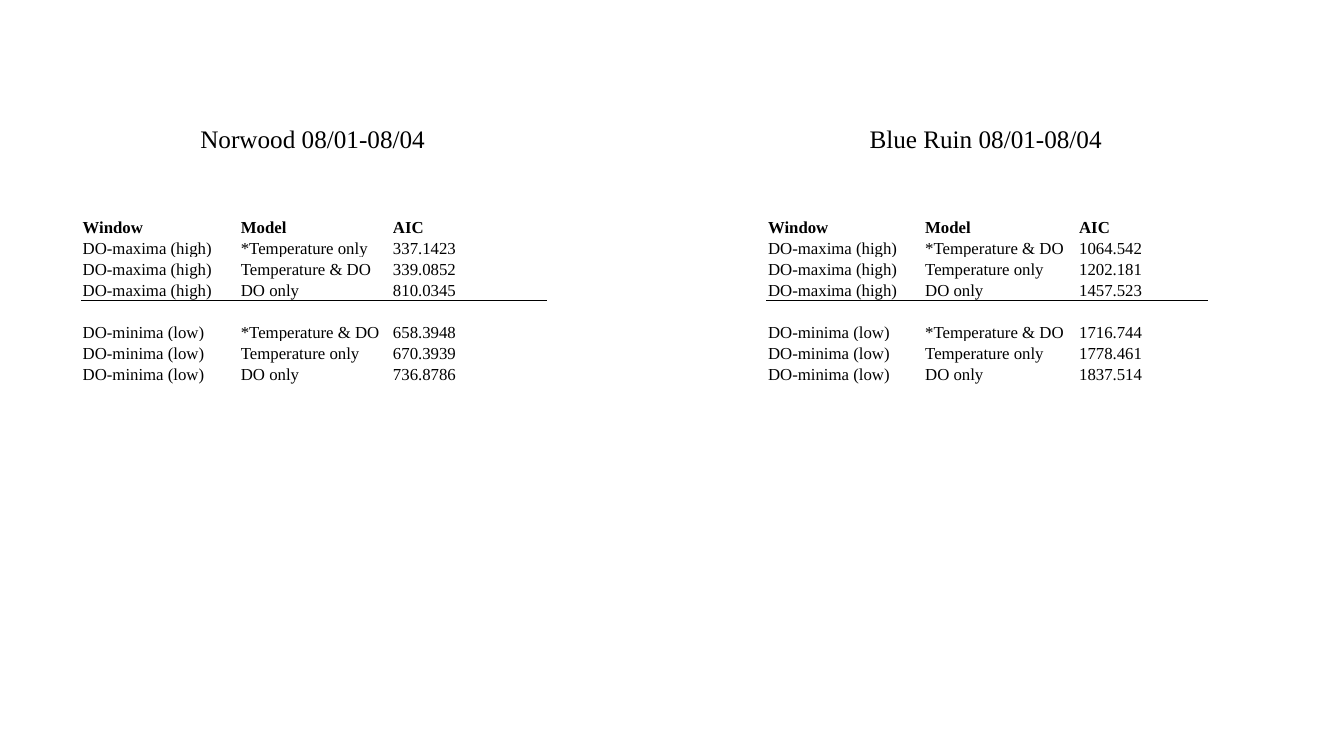
from lxml.etree import SubElement
from pptx import Presentation
from pptx.dml.color import RGBColor
from pptx.enum.text import MSO_ANCHOR, MSO_AUTO_SIZE
from pptx.oxml import parse_xml
from pptx.oxml.ns import nsdecls, qn
from pptx.util import Pt

FONT = "Times New Roman"
BLACK = "000000"


def write(tf, text, size=12, bold=False, color=BLACK, spacing=None):
    p = tf.paragraphs[0]
    p.line_spacing = spacing
    r = p.add_run()
    r.text = text
    r.font.name = FONT
    r.font.size = Pt(size)
    r.font.bold = bold
    r.font.color.rgb = RGBColor.from_string(color)


def rule(cell, side):
    ln = parse_xml(f'<a:{side} {nsdecls("a")} w="12700"/>')
    fill = SubElement(ln, qn("a:solidFill"))
    SubElement(fill, qn("a:srgbClr"), val=BLACK)
    cell._tc.get_or_add_tcPr().insert(0, ln)


HEADER = ("Window", "Model", "AIC")
HIGH = "DO-maxima (high)"
LOW = "DO-minima (low)"
TEMP = "Temperature only"
BOTH = "Temperature & DO"
DO = "DO only"
LAST_HIGH, FIRST_LOW = 3, 4

sites = [
    ("Norwood 08/01-08/04", 136, 176.5, 58.3, (113, 108.7, 110.6), [
        HEADER,
        (HIGH, "*" + TEMP, "337.1423"),
        (HIGH, BOTH, "339.0852"),
        (HIGH, DO, "810.0345"),
        (LOW, "*" + BOTH, "658.3948"),
        (LOW, TEMP, "670.3939"),
        (LOW, DO, "736.8786"),
    ]),
    ("Blue Ruin 08/01-08/04", 614, 182.3, 547.9, (112.2, 110, 92.1), [
        HEADER,
        (HIGH, "*" + BOTH, "1064.542"),
        (HIGH, TEMP, "1202.181"),
        (HIGH, DO, "1457.523"),
        (LOW, "*" + BOTH, "1716.744"),
        (LOW, TEMP, "1778.461"),
        (LOW, DO, "1837.514"),
        ("", "", ""),
    ]),
]

prs = Presentation()
prs.slide_width, prs.slide_height = Pt(960), Pt(540)
s = prs.slides.add_slide(prs.slide_layouts[6])

for title, title_left, title_width, left, widths, rows in sites:
    tf = s.shapes.add_textbox(Pt(title_left), Pt(84.3), Pt(title_width), Pt(29)).text_frame
    tf.word_wrap = False
    tf.auto_size = MSO_AUTO_SIZE.SHAPE_TO_FIT_TEXT
    write(tf, title, size=18)

    heights = [29.5 if i == FIRST_LOW else 15 for i in range(len(rows))]
    table = s.shapes.add_table(len(rows), len(HEADER), Pt(left), Pt(154),
                               Pt(sum(widths)), Pt(sum(heights))).table
    table.first_row = False
    table.horz_banding = False
    for col, width in zip(table.columns, widths):
        col.width = Pt(width)
    for i, values in enumerate(rows):
        table.rows[i].height = Pt(heights[i])
        for j, value in enumerate(values):
            cell = table.cell(i, j)
            cell.fill.background()
            cell.vertical_anchor = MSO_ANCHOR.BOTTOM
            cell.margin_left = cell.margin_right = cell.margin_top = Pt(0.75)
            cell.margin_bottom = Pt(0)
            write(cell.text_frame, value, bold=i == 0,
                  spacing=2.0 if i == FIRST_LOW else None)
            if i == LAST_HIGH:
                rule(cell, "lnB")
            elif i == FIRST_LOW:
                rule(cell, "lnT")

prs.save("out.pptx")
